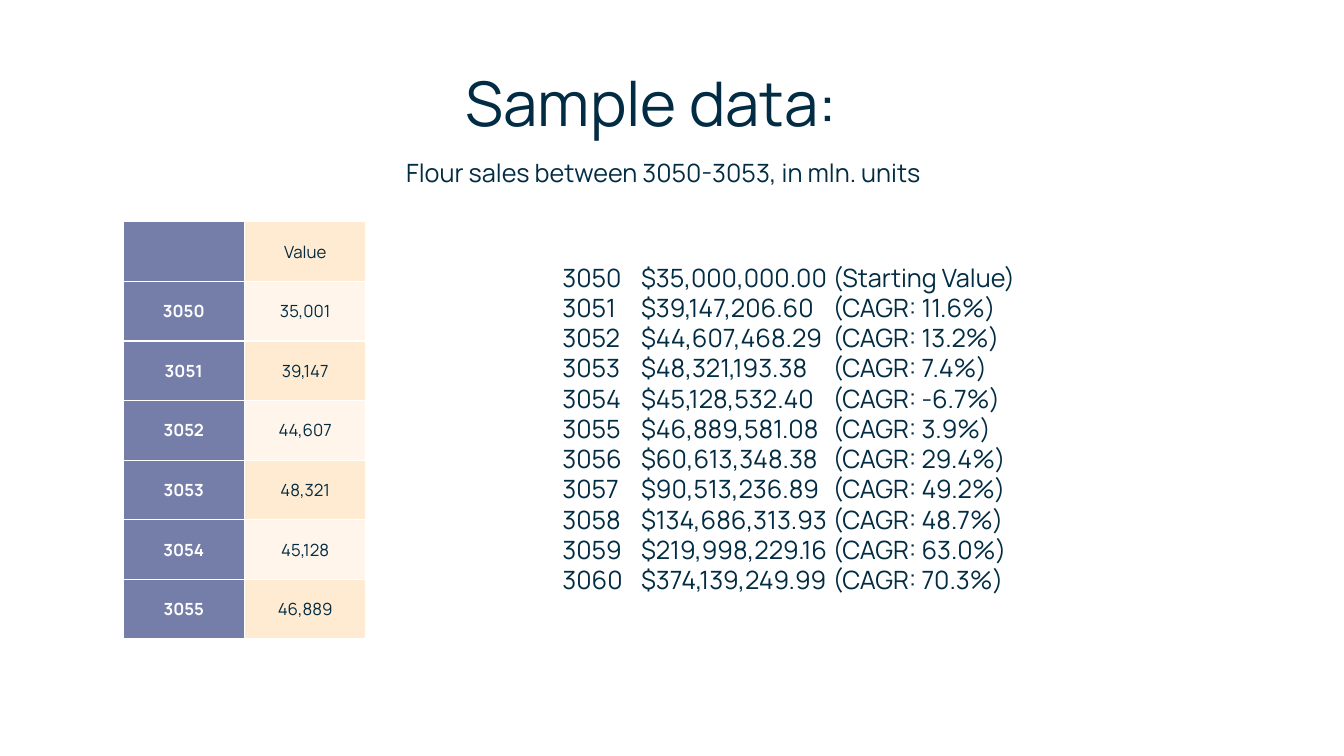
"""Build a slide with a table of flour sales and a list of yearly growth."""
from lxml.etree import SubElement
from pptx import Presentation
from pptx.dml.color import RGBColor
from pptx.enum.text import MSO_ANCHOR, PP_ALIGN
from pptx.oxml.ns import qn
from pptx.util import Inches, Pt

NAVY = RGBColor(0x02, 0x2C, 0x43)
WHITE = RGBColor(0xFF, 0xFF, 0xFF)
SLATE = RGBColor(0x75, 0x7D, 0xA9)
PEACH = RGBColor(0xFF, 0xEB, 0xD1)
CREAM = RGBColor(0xFF, 0xF5, 0xEA)


def write(frame, text, size=18, color=NAVY, bold=False, align=PP_ALIGN.LEFT, tabs=()):
    frame.word_wrap = True
    frame.text = text
    for para in frame.paragraphs:
        para.alignment = align
        font = para.font
        font.name, font.size, font.bold = "Manrope", Pt(size), bold
        font.color.rgb = color
        for run in para.runs:
            run.font.name, run.font.size, run.font.bold = "Manrope", Pt(size), bold
            run.font.color.rgb = color
        if tabs:
            props = para._p.get_or_add_pPr()
            stops = props.makeelement(qn("a:tabLst"), {})
            props.insert_element_before(stops, "a:defRPr", "a:extLst")
            for stop in tabs:
                SubElement(stops, qn("a:tab"), pos=str(Inches(stop)), algn="l")


def edge(cell):
    props = cell._tc.get_or_add_tcPr()
    for place, side in enumerate(("a:lnL", "a:lnR", "a:lnT", "a:lnB")):
        line = props.makeelement(qn(side), {"w": str(Pt(1))})
        props.insert(place, line)
        fill = SubElement(line, qn("a:solidFill"))
        SubElement(fill, qn("a:srgbClr"), val=str(WHITE))


deck = Presentation()
deck.slide_width, deck.slide_height = Inches(13.33), Inches(7.5)
slide = deck.slides.add_slide(deck.slide_layouts[6])
shapes = slide.shapes

sales = [
    ("", "Value"),
    ("3050", "35,001"),
    ("3051", "39,147"),
    ("3052", "44,607"),
    ("3053", "48,321"),
    ("3054", "45,128"),
    ("3055", "46,889"),
]
table = shapes.add_table(
    len(sales), 2, Inches(1.22), Inches(2.2), Inches(2.41), Inches(4.14)
).table
for row, pair in enumerate(sales):
    band = CREAM if row % 2 else PEACH
    looks = ((SLATE, WHITE, True), (band, NAVY, False))
    for col, (text, (fill, color, bold)) in enumerate(zip(pair, looks)):
        cell = table.cell(row, col)
        cell.fill.solid()
        cell.fill.fore_color.rgb = fill
        cell.vertical_anchor = MSO_ANCHOR.MIDDLE
        write(cell.text_frame, text, size=12, color=color, bold=bold, align=PP_ALIGN.CENTER)
        edge(cell)

title = shapes.add_textbox(Inches(4.52), Inches(0.59), Inches(4.3), Inches(0.84))
write(title.text_frame, "Sample data:", size=44)

note = shapes.add_textbox(Inches(3.93), Inches(1.51), Inches(5.68), Inches(0.4))
write(note.text_frame, "Flour sales between 3050-3053, in mln. units")

growth = [
    ("3050", "$35,000,000.00", "(Starting Value)"),
    ("3051", "$39,147,206.60", "(CAGR: 11.6%)"),
    ("3052", "$44,607,468.29", "(CAGR: 13.2%)"),
    ("3053", "$48,321,193.38", "(CAGR: 7.4%)"),
    ("3054", "$45,128,532.40", "(CAGR: -6.7%)"),
    ("3055", "$46,889,581.08", "(CAGR: 3.9%)"),
    ("3056", "$60,613,348.38", "(CAGR: 29.4%)"),
    ("3057", "$90,513,236.89", "(CAGR: 49.2%)"),
    ("3058", "$134,686,313.93", "(CAGR: 48.7%)"),
    ("3059", "$219,998,229.16", "(CAGR: 63.0%)"),
    ("3060", "$374,139,249.99", "(CAGR: 70.3%)"),
]
rates = shapes.add_textbox(Inches(5.48), Inches(2.55), Inches(6.67), Inches(3.43))
write(rates.text_frame, "\n".join("\t".join(line) for line in growth), tabs=(0.78, 2.68))

deck.save("out.pptx")
